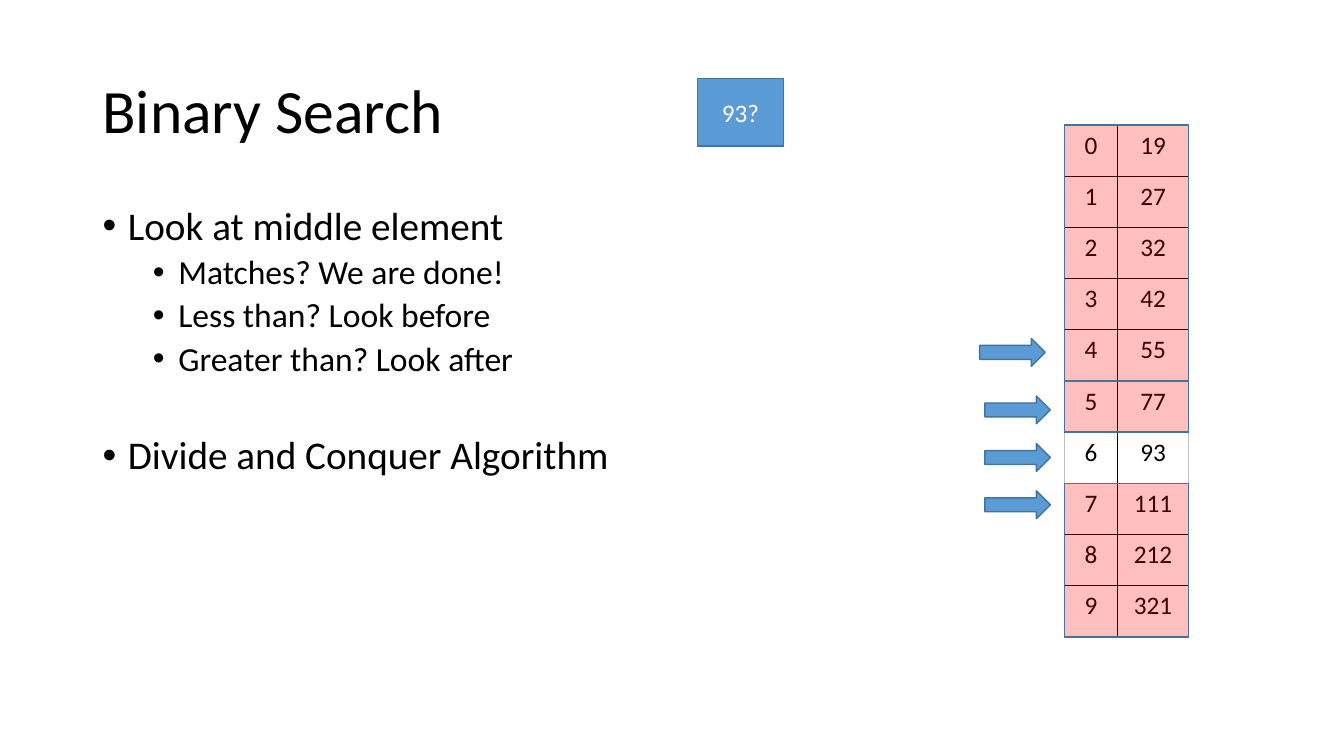
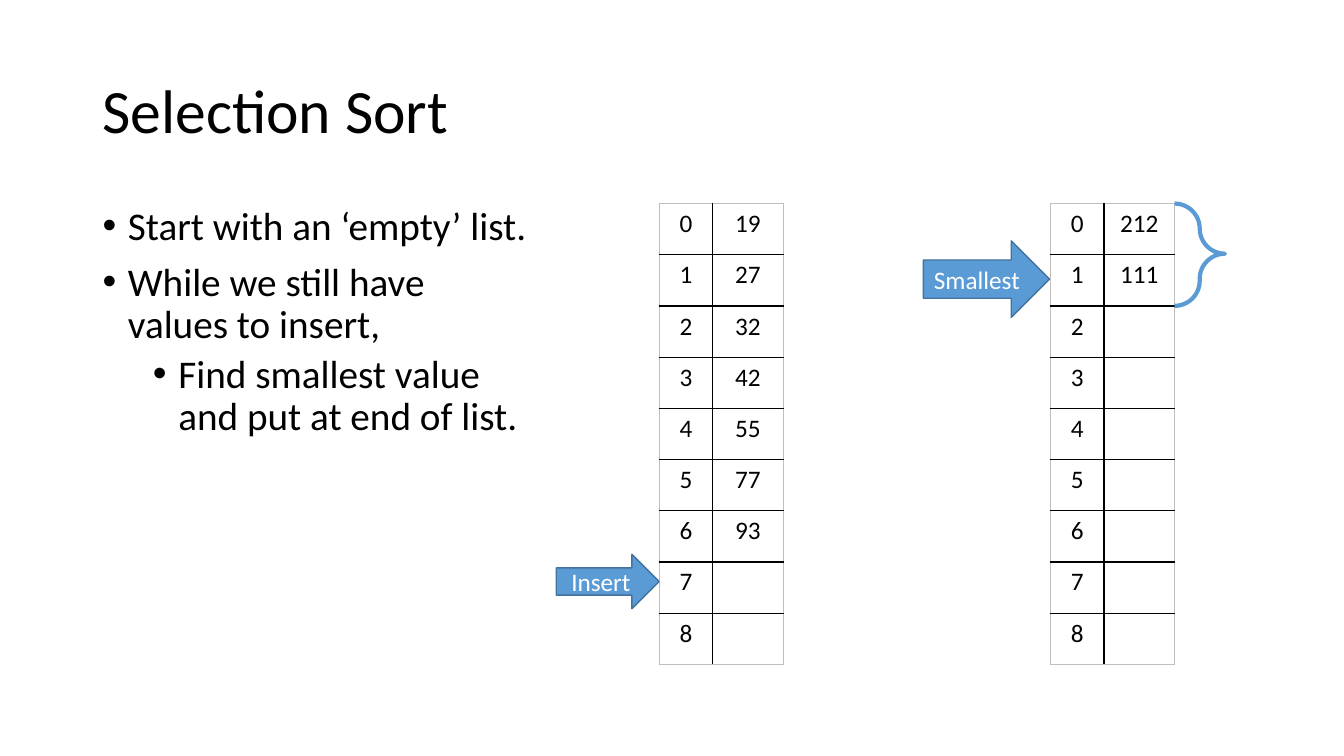
from lxml import etree
from pptx import Presentation
from pptx.dml.color import RGBColor
from pptx.enum import shapes, text
from pptx.oxml import ns
from pptx.util import Cm, Pt

# Content: bullets are (level, size, space before, wording)
SLIDES = [
    {
        "title": "Binary Search",
        "body_width": 29.21,
        "bullets": [
            (0, 28, 10, "Look at middle element"),
            (1, 24, 5, "Matches? We are done!"),
            (1, 24, 5, "Less than? Look before"),
            (1, 24, 5, "Greater than? Look after"),
            (0, 28, 41, "Divide and Conquer Algorithm"),
        ],
        # left, top, row count, values
        "lists": [(26.82, 3.15, 10, [19, 27, 32, 42, 55, 77, 93, 111, 212, 321])],
        # kind, left, top, width, height, label
        "marks": [
            ("RECTANGLE", 17.58, 1.98, 2.16, 1.7, "93?"),
            ("RIGHT_ARROW", 24.69, 8.53, 1.65, 0.7, ""),
            ("RIGHT_ARROW", 24.82, 9.98, 1.65, 0.7, ""),
            ("RIGHT_ARROW", 24.82, 11.18, 1.65, 0.7, ""),
            ("RIGHT_ARROW", 24.82, 12.37, 1.65, 0.7, ""),
        ],
        "ruled_out": [(0, 4), (7, 9), (5, 5)],
        "unsorted": None,
    },
    {
        "title": "Selection Sort",
        "body_width": 11.38,
        "bullets": [
            (0, 28, 10, "Start with an ‘empty’ list."),
            (0, 28, 10, "While we still have \vvalues to insert,"),
            (1, 28, 5, "Find smallest value \vand put at end of list."),
        ],
        "lists": [
            (16.61, 5.13, 9, [19, 27, 32, 42, 55, 77, 93]),
            (26.47, 5.13, 9, [212, 111]),
        ],
        "marks": [
            ("RIGHT_ARROW", 14.02, 13.97, 2.59, 1.37, "Insert"),
            ("RIGHT_ARROW", 23.27, 6.07, 3.18, 1.93, "Smallest"),
        ],
        "ruled_out": [],
        "unsorted": (0, 1),
    },
]

# Shared style
COLORS = {"ink": "000000", "paper": "FFFFFF", "accent": "5B9BD5",
          "edge": "43739E", "ruled_out": "FF0000", "frame": "BFBFBF"}
FONT = "Calibri"
COLUMNS = (1.35, 1.78)
ROW = 1.29


def color(name):
    return RGBColor.from_string(COLORS[name])


def style(para, size, ink="ink", align=text.PP_ALIGN.CENTER):
    para.font.name, para.font.size = FONT, Pt(size)
    para.font.color.rgb = color(ink)
    para.alignment = align


def place(box, left, top, width, height):
    box.left, box.top, box.width, box.height = map(Cm, (left, top, width, height))


def set_title(page, words):
    box = page.shapes.title
    place(box, 2.33, 1.01, 29.21, 3.68)
    box.text_frame.text = words
    box.text_frame.vertical_anchor = text.MSO_ANCHOR.MIDDLE
    para = box.text_frame.paragraphs[0]
    style(para, 44, align=text.PP_ALIGN.LEFT)
    para.line_spacing = 0.9


def set_bullets(page, width, bullets):
    box = page.placeholders[1]
    place(box, 2.33, 5.07, width, 12.09)
    frame = box.text_frame
    frame.auto_size = text.MSO_AUTO_SIZE.NONE
    frame.text = "\n".join(words for *_, words in bullets)
    for para, (level, size, before, _) in zip(frame.paragraphs, bullets):
        style(para, size, align=text.PP_ALIGN.LEFT)
        para.level, para.line_spacing, para.space_before = level, 0.9, Pt(before)
        props = para._p.get_or_add_pPr()
        props.set("marL", str(Cm(0.64 + 1.27 * level)))
        props.set("indent", str(-Cm(0.64)))
        etree.SubElement(props, ns.qn("a:buFont"), typeface="Arial")
        etree.SubElement(props, ns.qn("a:buChar"), char="•")


def add_border(cell, side, name):
    line = etree.SubElement(cell._tc.get_or_add_tcPr(), ns.qn("a:ln" + side), w=str(Pt(1)))
    fill = etree.SubElement(line, ns.qn("a:solidFill"))
    etree.SubElement(fill, ns.qn("a:srgbClr"), val=COLORS[name])


def add_list(page, left, top, count, values):
    table = page.shapes.add_table(count, 2, Cm(left), Cm(top),
                                  Cm(sum(COLUMNS)), Cm(count * ROW)).table
    table.first_row = table.horz_banding = False
    for column, width in zip(table.columns, COLUMNS):
        column.width = Cm(width)
    for index, row in enumerate(table.rows):
        row.height = Cm(ROW)
        value = str(values[index]) if index < len(values) else ""
        for column, words in enumerate((str(index), value)):
            cell = table.cell(index, column)
            cell.text = words
            style(cell.text_frame.paragraphs[0], 18)
            outer = {"L": column == 0, "R": column == 1,
                     "T": index == 0, "B": index == count - 1}
            for side, is_outer in outer.items():
                add_border(cell, side, "frame" if is_outer else "ink")
            cell.fill.background()


def add_mark(page, kind, left, top, width, height, label="", fill="accent"):
    mark = page.shapes.add_shape(shapes.MSO_SHAPE[kind], *map(Cm, (left, top, width, height)))
    mark.shadow.inherit = False
    mark.fill.solid()
    mark.fill.fore_color.rgb = color(fill)
    mark.line.color.rgb = color("edge")
    mark.line.width = Pt(1)
    if label:
        mark.text_frame.text = label
        mark.text_frame.word_wrap = False
        mark.text_frame.vertical_anchor = text.MSO_ANCHOR.MIDDLE
        style(mark.text_frame.paragraphs[0], 18, "paper")
    return mark


def rows_span(top, first, last):
    return top + first * ROW, (last - first + 1) * ROW


def add_ruled_out(page, left, top, first, last):
    start, height = rows_span(top, first, last)
    veil = add_mark(page, "RECTANGLE", left, start, sum(COLUMNS), height, fill="ruled_out")
    tint = veil.fill._xPr.find(".//" + ns.qn("a:srgbClr"))
    etree.SubElement(tint, ns.qn("a:alpha"), val="25000")


def add_brace(page, left, top, first, last):
    start, height = rows_span(top, first, last)
    brace = add_mark(page, "RIGHT_BRACE", left + sum(COLUMNS), start, 1.27, height)
    brace.adjustments[0], brace.adjustments[1] = 0.9, 0.49
    brace.fill.background()
    brace.line.color.rgb = color("accent")
    brace.line.width = Pt(3)


# Build the deck
deck = Presentation()
deck.slide_width, deck.slide_height = Cm(33.87), Cm(19.05)
for content in SLIDES:
    page = deck.slides.add_slide(deck.slide_layouts[1])
    set_title(page, content["title"])
    set_bullets(page, content["body_width"], content["bullets"])
    for entry in content["lists"]:
        add_list(page, *entry)
    for mark in content["marks"]:
        add_mark(page, *mark)
    left, top = content["lists"][-1][:2]
    for first, last in content["ruled_out"]:
        add_ruled_out(page, left, top, first, last)
    if content["unsorted"]:
        add_brace(page, left, top, *content["unsorted"])

deck.save("out.pptx")
